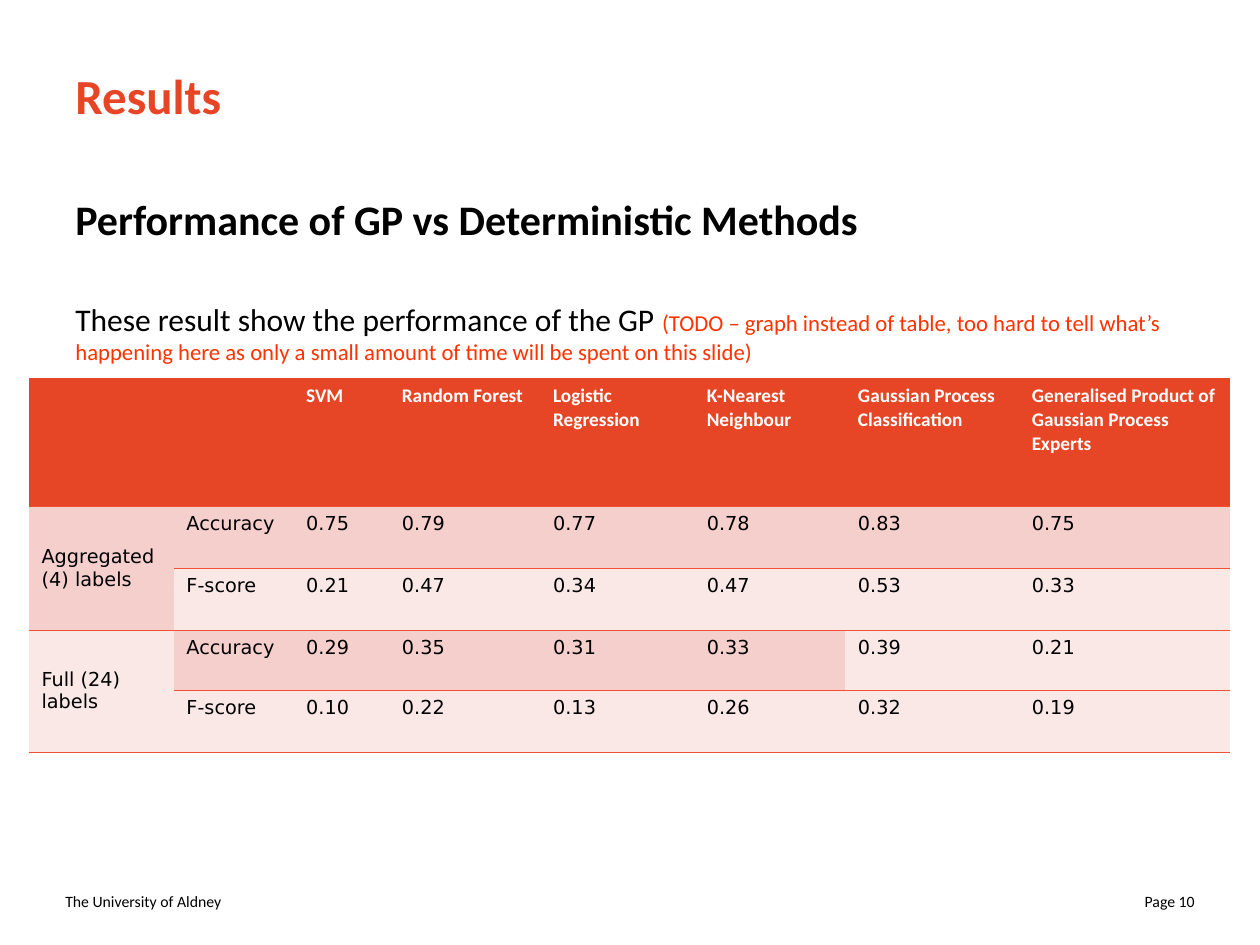
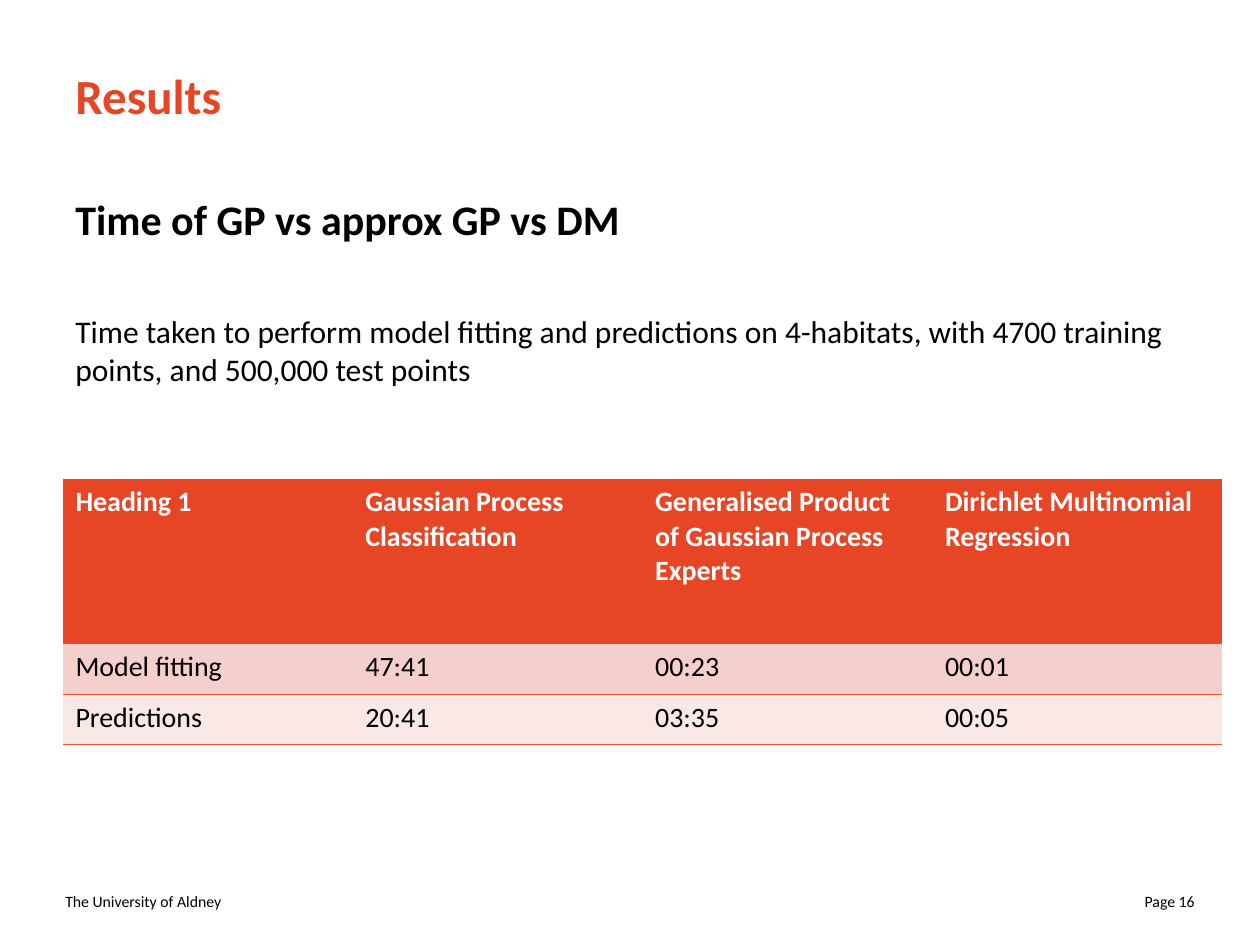
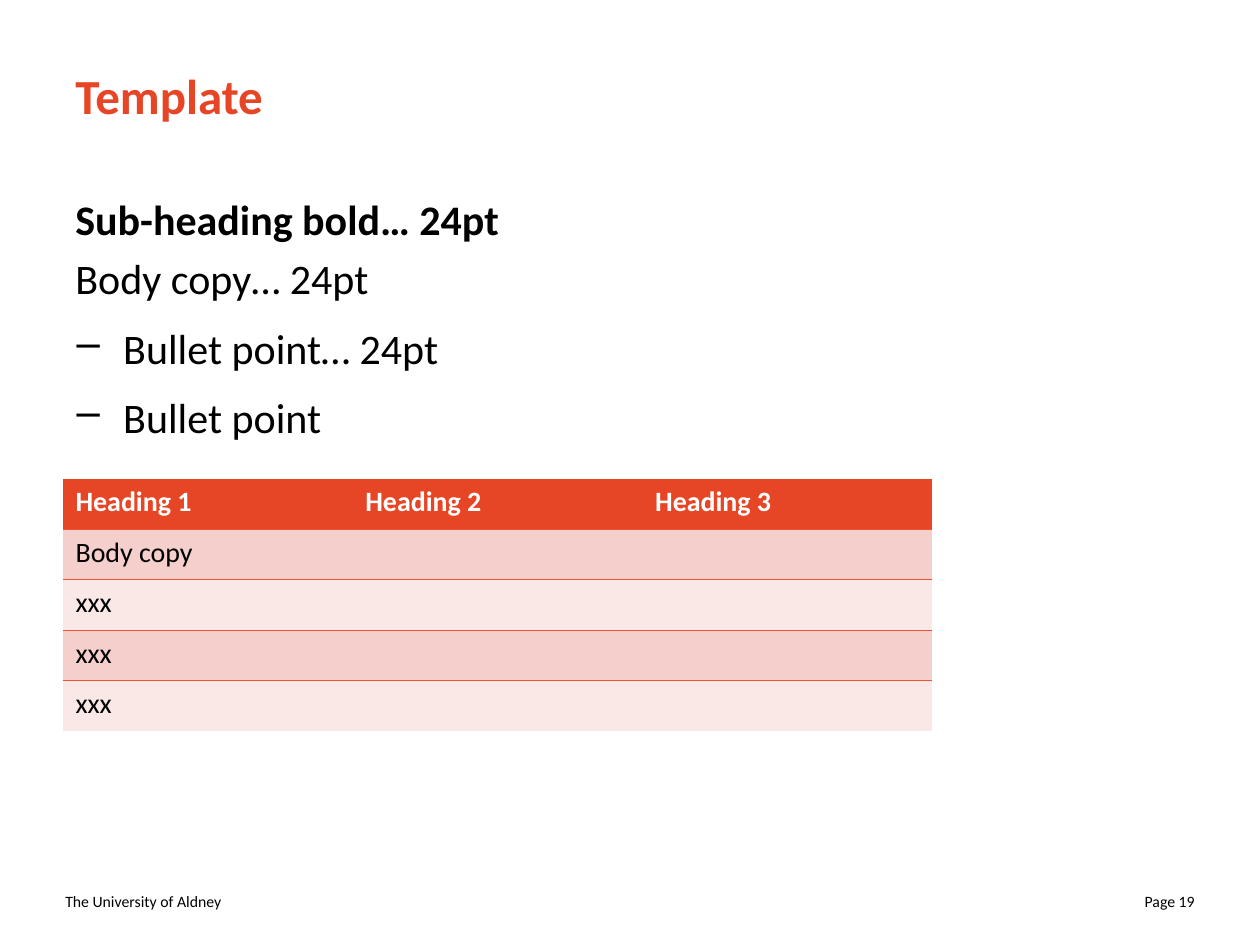
"""Build three results slides with a shared title, body, table and footer style."""
from lxml import etree
from pptx import Presentation
from pptx import util as u
from pptx.dml.color import RGBColor
from pptx.enum import text
from pptx.oxml.ns import qn

COLOURS = {"brand": "E64626", "rule": "F05133", "dark": "F5CFCC", "light": "FAE8E7",
           "ink": "000000", "white": "FFFFFF", "todo": "FF3300"}
PLAIN_TABLE = "{2D5ABB26-0587-4C30-8999-92F81FD0307C}"
UNIVERSITY = "The University of Aldney"

SUBHEADING = {"size": 24, "bold": True}
BULLET = {"size": 24, "after": 6, "bullet": "–"}

SLIDES = [
    {
        "title": "Results", "page": 10,
        "body": [
            ([("Performance of GP vs Deterministic Methods", {})], SUBHEADING),
            ([("These result show the performance of the GP ", {}),
              ("(TODO – graph instead of table, too hard to tell what’s happening here "
               "as only a small amount of time will be spent on this slide)",
               {"size": 13, "colour": "todo"})], {"size": 18, "before": 31.6}),
        ],
        "table": {
            "at": (16.56, 216), "size": 11, "font": "DejaVu Sans",
            "columns": [82.8, 68.4, 54.72, 86.4, 87.84, 86.4, 99.36, 120.24],
            "heights": [73.44, 35.28, 35.28, 34.56, 35.28],
            "rows": [
                ["", "", "SVM", "Random Forest", "Logistic Regression", "K-Nearest Neighbour",
                 "Gaussian Process Classification",
                 "Generalised Product of Gaussian Process Experts"],
                ["Aggregated (4) labels", "Accuracy", "0.75", "0.79", "0.77", "0.78", "0.83", "0.75"],
                ["", "F-score", "0.21", "0.47", "0.34", "0.47", "0.53", "0.33"],
                ["Full (24) labels", "Accuracy", "0.29", "0.35", "0.31", "0.33", "0.39", "0.21"],
                ["", "F-score", "0.10", "0.22", "0.13", "0.26", "0.32", "0.19"],
            ],
            "row_pairs": [1, 3],
            "light_cells": [(3, 0), (3, 6), (3, 7)],
        },
    },
    {
        "title": "Results", "page": 16,
        "body": [
            ([("Time of GP vs approx GP vs DM", {})], SUBHEADING),
            ([("Time taken to perform model fitting and predictions on 4-habitats, "
               "with 4700 training points, and 500,000 test points", {})],
             {"size": 18, "before": 38.9}),
        ],
        "table": {
            "at": (36, 273.6), "columns": [165.6] * 4, "heights": [94.32, 28.8, 28.8],
            "rows": [
                ["Heading 1", "Gaussian Process Classification",
                 "Generalised Product of Gaussian Process Experts",
                 "Dirichlet Multinomial Regression"],
                ["Model fitting", "47:41", "00:23", "00:01"],
                ["Predictions", "20:41", "03:35", "00:05"],
            ],
        },
    },
    {
        "title": "Template", "page": 19,
        "body": [
            ([("Sub-heading bold… 24pt", {})], SUBHEADING),
            ([("Body copy… 24pt", {})], {"size": 24, "after": 6}),
            ([("Bullet point… 24pt", {})], BULLET),
            ([("Bullet point", {})], BULLET),
        ],
        "table": {
            "at": (36, 273.6), "columns": [165.6] * 3, "heights": [28.8] * 5,
            "rows": [
                ["Heading 1", "Heading 2", "Heading 3"],
                ["Body copy", "", ""],
                ["xxx", "", ""],
                ["xxx", "", ""],
                ["xxx", "", ""],
            ],
            "open_end": True,
        },
    },
]


def rgb(name):
    return RGBColor.from_string(COLOURS[name])


def write(paragraph, words, size=16, font="Calibri", colour="ink", bold=False):
    run = paragraph.add_run()
    run.text = words
    run.font.size = u.Pt(size)
    run.font.name = font
    run.font.bold = bold
    run.font.color.rgb = rgb(colour)


def add_frame(slide, left, top, width, height, anchor=text.MSO_ANCHOR.MIDDLE):
    frame = slide.shapes.add_textbox(*map(u.Pt, (left, top, width, height))).text_frame
    frame.word_wrap = True
    frame.vertical_anchor = anchor
    return frame


def add_bullet(paragraph, mark):
    properties = paragraph._p.get_or_add_pPr()
    properties.set("marL", str(u.Pt(27.36)))
    properties.set("indent", str(u.Pt(-26.64)))
    etree.SubElement(properties, qn("a:buChar")).set("char", mark)


def add_body(slide, paragraphs):
    frame = add_frame(slide, 36, 107.28, 648, 375.12, text.MSO_ANCHOR.TOP)
    for index, (runs, style) in enumerate(paragraphs):
        paragraph = frame.add_paragraph() if index else frame.paragraphs[0]
        paragraph.space_before = u.Pt(style.get("before", 4.8))
        paragraph.space_after = u.Pt(style.get("after", 0))
        if "bullet" in style:
            add_bullet(paragraph, style["bullet"])
        base = {key: style[key] for key in ("size", "bold") if key in style}
        for words, changes in runs:
            write(paragraph, words, **{**base, **changes})


def rule_below(cell):
    line = etree.Element(qn("a:lnB"), w=str(u.Pt(0.5)))
    fill = etree.SubElement(line, qn("a:solidFill"))
    etree.SubElement(fill, qn("a:srgbClr"), val=COLOURS["rule"])
    cell._tc.get_or_add_tcPr().insert(0, line)


def add_results(slide, content):
    rows, columns, heights = content["rows"], content["columns"], content["heights"]
    extent = (*content["at"], sum(columns), sum(heights))
    table = slide.shapes.add_table(len(rows), len(columns), *map(u.Pt, extent)).table
    table.first_row = table.horz_banding = False
    table._tbl.tblPr.find(qn("a:tableStyleId")).text = PLAIN_TABLE
    for column, width in zip(table.columns, columns):
        column.width = u.Pt(width)
    for row, height in zip(table.rows, heights):
        row.height = u.Pt(height)
    for top in content.get("row_pairs", []):
        table.cell(top, 0).merge(table.cell(top + 1, 0))
        table.cell(top, 0).vertical_anchor = text.MSO_ANCHOR.MIDDLE
    size, body_font = content.get("size", 16), content.get("font", "Calibri")
    for r, row in enumerate(rows):
        for c, words in enumerate(row):
            cell = table.cell(r, c)
            light = r % 2 == 0 or (r, c) in content.get("light_cells", [])
            cell.fill.solid()
            cell.fill.fore_color.rgb = rgb("brand" if r == 0 else "light" if light else "dark")
            if r < len(rows) - 1 or not content.get("open_end"):
                rule_below(cell)
            if cell.is_spanned:
                continue
            look = {"colour": "white", "bold": True} if r == 0 else {"font": body_font}
            write(cell.text_frame.paragraphs[0], words, size=size, **look)


def add_footer(slide, page):
    for left, words, side in ((30.24, UNIVERSITY, text.PP_ALIGN.LEFT),
                              (522, f"Page {page}", text.PP_ALIGN.RIGHT)):
        paragraph = add_frame(slide, left, 500.4, 167.76, 28.8).paragraphs[0]
        paragraph.alignment = side
        write(paragraph, words, size=9)


def main():
    deck = Presentation()
    deck.slide_width, deck.slide_height = u.Pt(720), u.Pt(540)
    for content in SLIDES:
        slide = deck.slides.add_slide(deck.slide_layouts[6])
        add_footer(slide, content["page"])
        title = add_frame(slide, 36, 9.36, 648, 90).paragraphs[0]
        write(title, content["title"], size=28, colour="brand", bold=True)
        add_body(slide, content["body"])
        add_results(slide, content["table"])
    deck.save("out.pptx")


if __name__ == "__main__":
    main()
